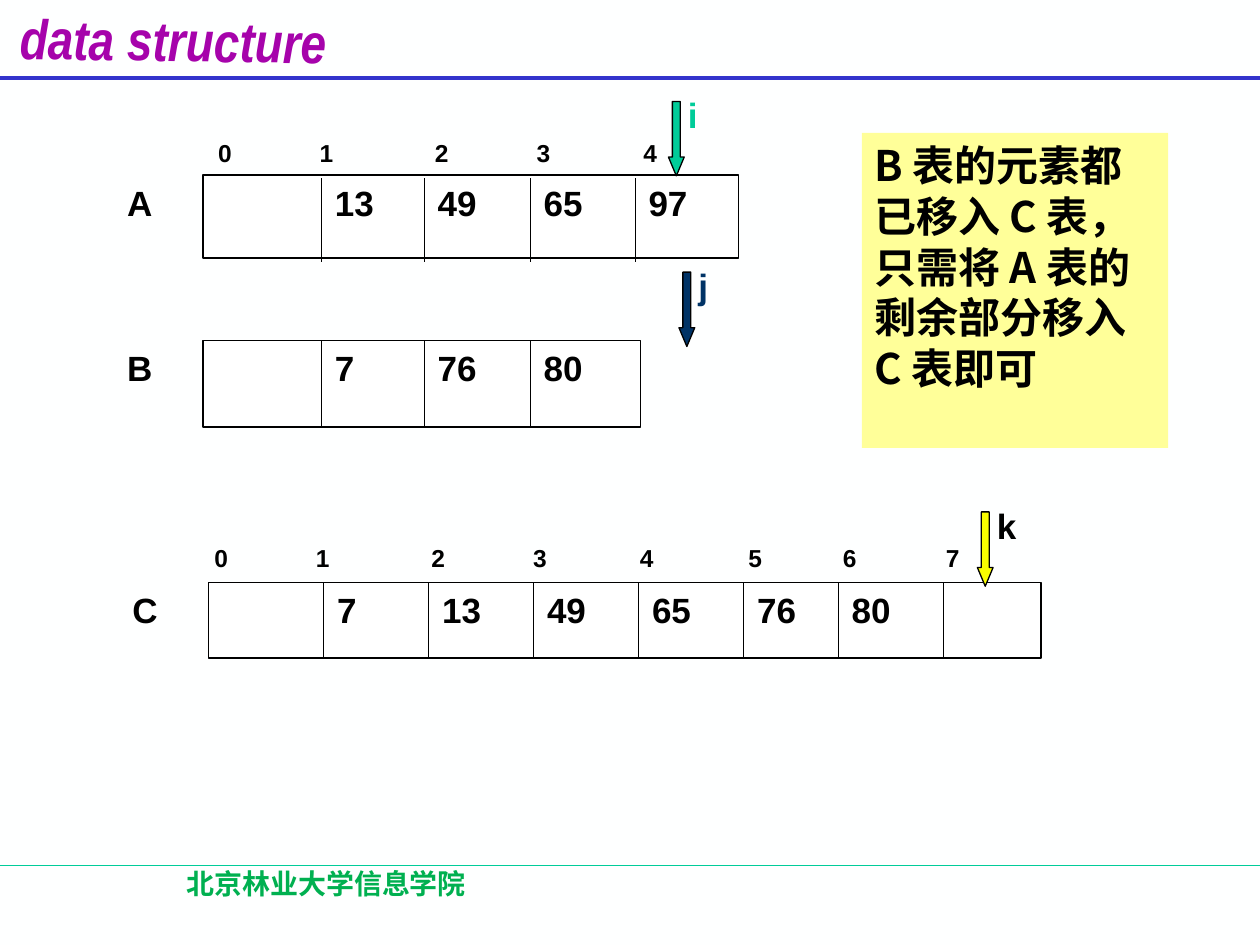
from pptx import Presentation
from pptx.dml.color import RGBColor
from pptx.enum import shapes, text
from pptx.oxml import ns, xmlchemy
from pptx.util import Pt

COLORS = {
    "background": "FEFFFF", "white": "FFFFFF", "black": "000000",
    "title": "A603AB", "rule": "3333CC", "teal": "00CC99",
    "footer": "00B050", "navy": "003366", "yellow": "FAFD00", "note": "FFFF99",
}
CJK = "Noto Sans CJK SC"
INDEX_STOPS = [58, 124, 182, 243, 305, 359, 418]


def color(name):
    """Return the named colour."""
    return RGBColor.from_string(COLORS[name])


def child(parent, tag, **attributes):
    """Append an empty DrawingML element with attributes."""
    element = xmlchemy.OxmlElement(tag)
    for name, value in attributes.items():
        element.set(name, str(value))
    parent.append(element)
    return element


def write(shape, words, size=20, ink="black", font="Arial", italic=False,
          align=text.PP_ALIGN.LEFT, spacing=None, stops=()):
    """Put one formatted paragraph into a shape."""
    frame = shape.text_frame
    frame.word_wrap = True
    frame.auto_size = text.MSO_AUTO_SIZE.NONE
    frame.vertical_anchor = text.MSO_ANCHOR.TOP
    paragraph = frame.paragraphs[0]
    paragraph.alignment = align
    if spacing:
        paragraph.line_spacing = Pt(spacing)
    if stops:
        tabs = child(paragraph._p.get_or_add_pPr(), "a:tabLst")
        for stop in stops:
            child(tabs, "a:tab", pos=int(Pt(stop)), algn="l")
    run = paragraph.add_run()
    run.text = words
    run.font.name = font
    run.font.size = Pt(size)
    run.font.bold = True
    run.font.italic = italic
    run.font.color.rgb = color(ink)
    if font == CJK:
        child(run._r.get_or_add_rPr(), "a:ea", typeface=font)


def add_label(container, words, left, top, width=48, height=32, **style):
    """Add a text box."""
    box = container.add_textbox(Pt(left), Pt(top), Pt(width), Pt(height))
    write(box, words, **style)


def add_line(slide, start, end, ink="black", weight=0.75):
    """Add a straight line between two points."""
    line = slide.shapes.add_connector(
        shapes.MSO_CONNECTOR.STRAIGHT, *(Pt(value) for value in (*start, *end)))
    line.line.color.rgb = color(ink)
    line.line.width = Pt(weight)
    properties = line._element.find(ns.qn("p:spPr"))
    child(properties, "a:effectLst")


def add_block(container, kind, left, top, width, height, fill, outlined=True):
    """Add a filled preset shape."""
    block = container.add_shape(kind, Pt(left), Pt(top), Pt(width), Pt(height))
    block.shadow.inherit = False
    block.fill.solid()
    block.fill.fore_color.rgb = color(fill)
    if outlined:
        block.line.color.rgb = color("black")
        block.line.width = Pt(0.75)
    else:
        block.line.fill.background()
    return block


def add_array(slide, name, left, top, width, height, dividers, values, shift=0):
    """Draw a named array with dividers and a value after each one."""
    add_label(slide.shapes, name, left - 50.5, top)
    add_block(slide.shapes, shapes.MSO_SHAPE.RECTANGLE, left, top, width, height, "white")
    for x in dividers:
        add_line(slide, (x, top + shift), (x, top + height + shift))
    for x, value in zip(dividers, values):
        add_label(slide.shapes, str(value), x + 0.5, top)


def add_indexes(slide, count, left, top, width):
    """Write the index numbers above an array on tab stops."""
    words = "\t".join(str(index) for index in range(count))
    add_label(slide.shapes, words, left, top, width, 24.5, size=14,
              stops=INDEX_STOPS[:count - 1])


def add_pointer(slide, name, left, top, fill, ink):
    """Add a grouped down arrow and its name."""
    group = slide.shapes.add_group_shape()
    arrow = add_block(group.shapes, shapes.MSO_SHAPE.DOWN_ARROW, left, top, 9, 42.5, fill)
    arrow.adjustments[0] = 0.5
    arrow.adjustments[1] = 1.19
    add_label(group.shapes, name, left + 4, top - 8, 38, ink=ink)


def add_frame(slide):
    """Add the title, the rules and the footer."""
    title = slide.shapes.title
    title.left, title.top, title.width, title.height = Pt(4), Pt(-0.5), Pt(190), Pt(39)
    title.rotation = 0.8
    write(title, "data structure", size=32, ink="title", font="Arial Narrow",
          italic=True, align=text.PP_ALIGN.CENTER)
    add_line(slide, (0, 494.5), (720, 494.5), "teal")
    add_line(slide, (0, 44.5), (720, 44.5), "rule", 2.25)
    add_label(slide.shapes, "北京林业大学信息学院", 37.5, 491, 298, 36, size=16,
              ink="footer", font=CJK, align=text.PP_ALIGN.CENTER, spacing=20)


def main():
    """Build the merge step slide."""
    presentation = Presentation()
    presentation.slide_width, presentation.slide_height = Pt(720), Pt(540)
    slide = presentation.slides.add_slide(presentation.slide_layouts[5])
    slide.background.fill.solid()
    slide.background.fill.fore_color.rgb = color("background")
    add_frame(slide)

    dividers = [183.75, 242.5, 303, 363]
    add_indexes(slide, 5, 117.5, 75.5, 306)
    add_array(slide, "A", 116, 100, 306, 47.5, dividers, [13, 49, 65, 97], shift=2)
    add_array(slide, "B", 116, 194.5, 250, 49.5, dividers[:3], [7, 76, 80])
    add_array(slide, "C", 119, 333, 476, 43,
              [185, 245, 305, 365, 425, 479, 539], [7, 13, 49, 65, 76, 80])
    add_indexes(slide, 8, 115.5, 307, 479.5)

    add_pointer(slide, "i", 382, 58, "teal", "teal")
    add_pointer(slide, "j", 388, 155.5, "navy", "navy")
    add_pointer(slide, "k", 558.5, 292.5, "yellow", "black")

    note = add_block(slide.shapes, shapes.MSO_SHAPE.RECTANGLE, 492.5, 76, 175, 180,
                     "note", outlined=False)
    write(note, "B 表的元素都已移入 C 表，只需将 A 表的剩余部分移入 C 表即可",
          size=24, font=CJK, spacing=29)
    presentation.save("out.pptx")


if __name__ == "__main__":
    main()
